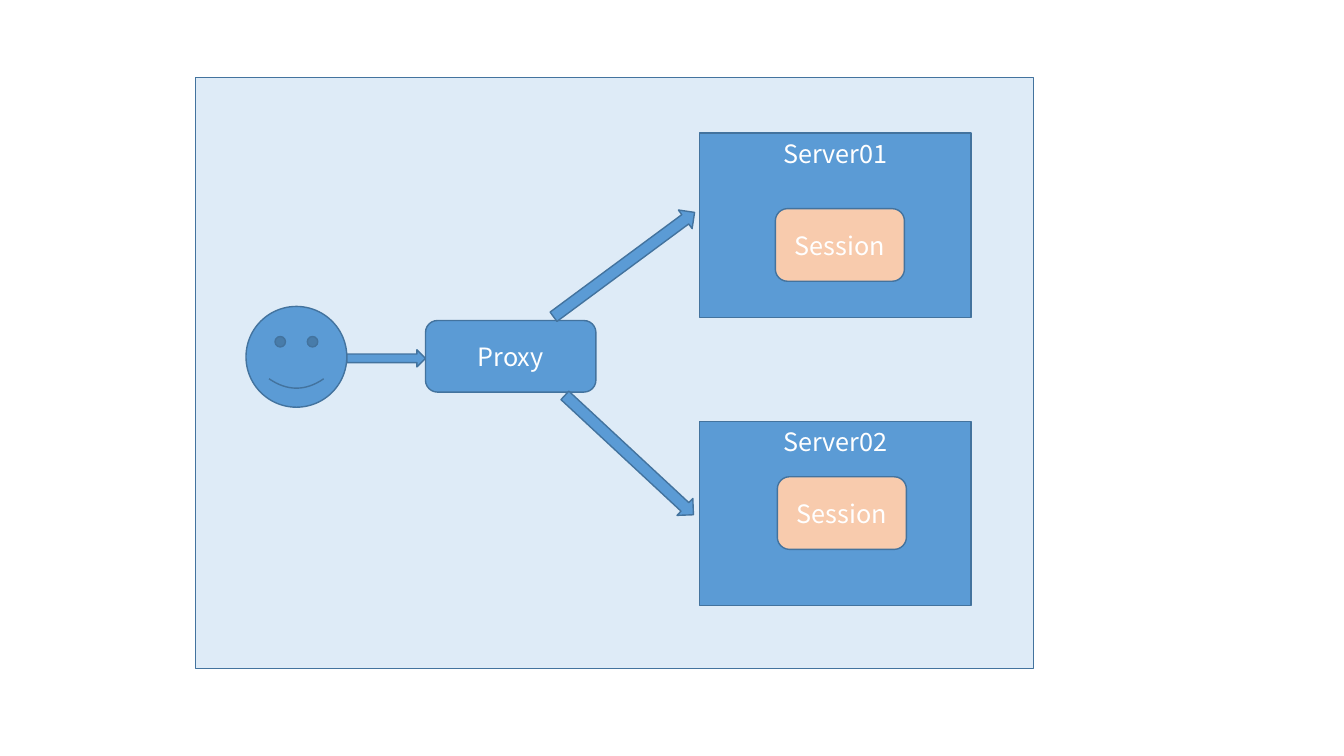
from pptx import Presentation
from pptx.dml.color import RGBColor
from pptx.enum.shapes import MSO_SHAPE as Shape
from pptx.enum.text import MSO_ANCHOR as Anchor, PP_ALIGN as Align
from pptx.util import Inches, Pt

FONT = "Noto Sans CJK SC"
BLUE, PALE_BLUE, PEACH = "5B9BD5", "DEEBF7", "F8CBAD"
OUTLINE, WHITE = "43739E", "FFFFFF"


def color(hex_value):
    return RGBColor.from_string(hex_value)


def add_block(kind, left, top, width, height, fill=BLUE, text="", anchor=Anchor.MIDDLE, rotation=0):
    shape = slide.shapes.add_shape(kind, Inches(left), Inches(top), Inches(width), Inches(height))
    shape.shadow.inherit = False
    shape.rotation = rotation
    shape.fill.solid()
    shape.fill.fore_color.rgb = color(fill)
    shape.line.color.rgb = color(OUTLINE)
    shape.line.width = Pt(1)
    if text:
        shape.text_frame.vertical_anchor = anchor
        paragraph = shape.text_frame.paragraphs[0]
        paragraph.alignment = Align.CENTER
        run = paragraph.add_run()
        run.text = text
        for name, value in {"name": FONT, "size": Pt(18)}.items():
            setattr(run.font, name, value)
        run.font.color.rgb = color(WHITE)


presentation = Presentation()
presentation.slide_width = Inches(13.33)
presentation.slide_height = Inches(7.5)
slide = presentation.slides.add_slide(presentation.slide_layouts[6])

add_block(Shape.RECTANGLE, 1.94, 0.77, 8.31, 5.86, fill=PALE_BLUE)
add_block(Shape.SMILEY_FACE, 2.44, 3.04, 1, 1)

servers = [("Server01", 1.32, 7.69, 2.07), ("Server02", 4.18, 7.71, 4.73)]
for server, server_top, session_left, session_top in servers:
    add_block(Shape.RECTANGLE, 6.94, server_top, 2.69, 1.83, text=server, anchor=Anchor.TOP)
    add_block(Shape.ROUNDED_RECTANGLE, session_left, session_top, 1.28, 0.72, fill=PEACH, text="Session")

add_block(Shape.ROUNDED_RECTANGLE, 4.22, 3.18, 1.69, 0.71, text="Proxy")

arrows = [
    (3.44, 3.47, 0.78, 0.17, 0),
    (5.32, 2.51, 1.74, 0.23, 323.5),
    (5.37, 4.4, 1.74, 0.23, 42.9),
]
for left, top, width, height, rotation in arrows:
    add_block(Shape.RIGHT_ARROW, left, top, width, height, rotation=rotation)

presentation.save("out.pptx")
